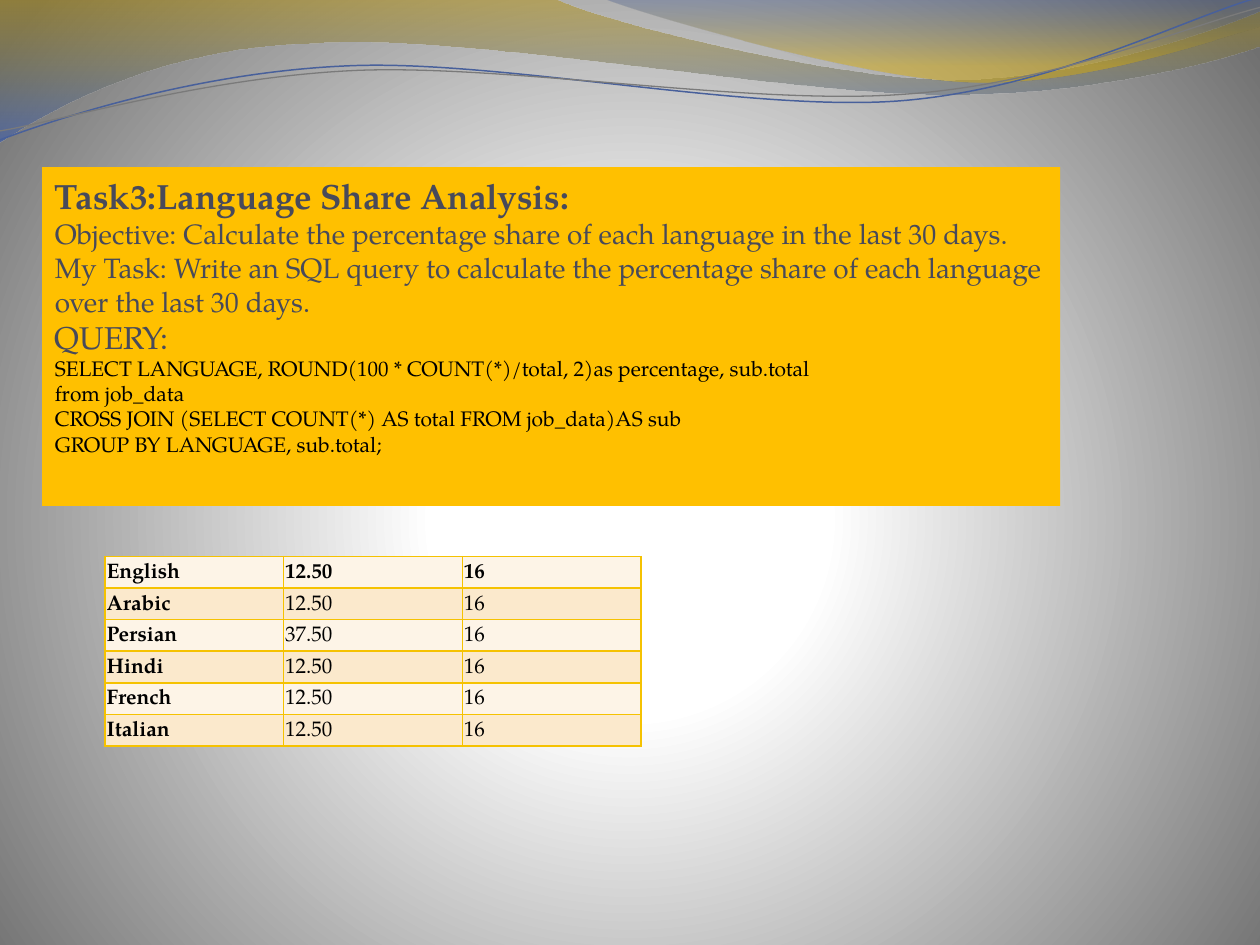
from dataclasses import dataclass

from lxml import etree
from pptx import Presentation
from pptx.dml.color import RGBColor
from pptx.enum import text
from pptx.oxml import ns
from pptx.util import Cm, Pt


@dataclass(frozen=True)
class Theme:
    font: str = "TeX Gyre Pagella"
    panel: str = "FFC000"
    heading: str = "484A5A"
    body: str = "000000"
    border: str = "F5C201"
    bands: tuple = ("FDF4E7", "FBE9CC")
    title_size: int = 20
    label_size: int = 18
    text_size: int = 16
    code_size: int = 12
    backdrop: tuple = ((0, "FFFFFF", 100), (25, "FFFFFF", 100), (100, "707070", 100))
    wave_left: tuple = ((0, "B69000", 45), (100, "3359B7", 55))
    wave_right: tuple = ((0, "324C8D", 30), (80, "D9AC00", 45))
    line_blue: str = "48609B"
    line_grey: str = "7A7A7A"


T = Theme()
LINE_TILT = 357.3

LEFT_WAVE = [
    (0, 0), (11.18, -0.03),
    (12.09, 0.43, 16.87, 1.6, 19.25, 1.6),
    (21.67, 1.6, 24.33, 0.66, 25.4, 0.23),
    (25.43, 0.91),
    (24.97, 1.12, 22.1, 1.93, 18.95, 1.9),
    (15.8, 1.9, 9.7, 0.71, 6.53, 0.86),
    (3.28, 0.91, 1.17, 2.11, -0.03, 2.87),
]
RIGHT_WAVE = [
    (12.17, -0.03),
    (12.93, 0.28, 17.32, 1.57, 19.53, 1.65),
    (21.74, 1.75, 24.41, 0.81, 25.4, 0.53),
    (25.4, 0),
]
BLUE_LINE = [
    (-0.05, 2.22),
    (1.19, 1.82, 4.02, 1.04, 7.05, 1.06),
    (10.05, 1.07, 15.02, 2.37, 18.08, 2.29),
    (21.14, 2.2, 23.87, 0.91, 25.41, 0.55),
]
GREY_LINE = [
    (-0.04, 2.04),
    (1.16, 1.9, 4.18, 1.15, 7.2, 1.16),
    (10.25, 1.18, 15.13, 2.25, 18.19, 2.16),
    (21.21, 2.1, 23.93, 1.06, 25.45, 0.75),
]

TITLE_PARAGRAPHS = [
    [
        ("Task3:Language Share Analysis:", T.title_size, T.heading, True),
        ("Objective: Calculate the percentage share of each language in the last 30 days.",
         T.text_size, T.heading, False),
        ("My Task: Write an SQL query to calculate the percentage share of each language "
         "over the last 30 days.", T.text_size, T.heading, False),
        ("QUERY:", T.label_size, T.heading, False),
        ("SELECT LANGUAGE, ROUND(100 * COUNT(*)/total, 2)as percentage, sub.total",
         T.code_size, T.body, False),
    ],
    [("from job_data", T.code_size, T.body, False)],
    [("CROSS JOIN (SELECT COUNT(*) AS total FROM job_data)AS sub",
      T.code_size, T.body, False)],
    [("GROUP BY LANGUAGE, sub.total;", T.code_size, T.body, False)],
]

SHARES = [
    ("English", "12.50", "16"),
    ("Arabic", "12.50", "16"),
    ("Persian", "37.50", "16"),
    ("Hindi", "12.50", "16"),
    ("French", "12.50", "16"),
    ("Italian", "12.50", "16"),
]


def sub(parent, tag, **attrs):
    return etree.SubElement(parent, ns.qn(tag), {k: str(v) for k, v in attrs.items()})


def set_gradient(fill, element, stops, centre=None):
    fill.gradient()
    grad = next(element.iter(ns.qn("a:gradFill")))
    for child in list(grad):
        grad.remove(child)
    gs_list = sub(grad, "a:gsLst")
    for pos, color, alpha in stops:
        clr = sub(sub(gs_list, "a:gs", pos=pos * 1000), "a:srgbClr", val=color)
        if alpha < 100:
            sub(clr, "a:alpha", val=alpha * 1000)
    if centre:
        radial = sub(grad, "a:path", path="circle")
        sub(radial, "a:fillToRect", **{k: v * 1000 for k, v in zip("ltrb", centre)})
    else:
        sub(grad, "a:lin", ang=5400000, scaled=0)


def add_outline(s, left, top, outline, close):
    anchors = [(left + Cm(seg[-2]), top + Cm(seg[-1])) for seg in outline]
    builder = s.shapes.build_freeform(*anchors[0])
    builder.add_line_segments(anchors[1:], close=close)
    sp = builder.convert_to_shape()
    sp.shadow.inherit = False
    lines = list(sp.element.iter(ns.qn("a:lnTo")))
    for line, seg in zip(lines, outline[1:]):
        if len(seg) == 6:
            curve = etree.Element(ns.qn("a:cubicBezTo"))
            for x, y in zip(seg[::2], seg[1::2]):
                sub(curve, "a:pt", x=left + Cm(x) - sp.left, y=top + Cm(y) - sp.top)
            line.getparent().replace(line, curve)
    return sp


def add_waves(s, left, top):
    for outline, stops in ((LEFT_WAVE, T.wave_left), (RIGHT_WAVE, T.wave_right)):
        sp = add_outline(s, left, top, outline, True)
        set_gradient(sp.fill, sp.element, stops)
        sp.line.fill.background()
    for outline, color, width in ((BLUE_LINE, T.line_blue, 0.85),
                                  (GREY_LINE, T.line_grey, 0.75)):
        sp = add_outline(s, left, top, outline, False)
        sp.rotation = LINE_TILT
        sp.fill.background()
        sp.line.color.rgb = RGBColor.from_string(color)
        sp.line.width = Pt(width)


def add_run(p, content, size, color, bold):
    r = p.add_run()
    r.text = content
    r.font.name, r.font.size, r.font.bold = T.font, Pt(size), bold
    r.font.color.rgb = RGBColor.from_string(color)


def add_break(p, size):
    p.add_line_break()
    props = sub(p._p[-1], "a:rPr", sz=size * 100)
    sub(props, "a:latin", typeface=T.font)


def add_title(s, left, top, width, height):
    sp = s.shapes.title
    sp.left, sp.top, sp.width, sp.height = left, top, width, height
    sp.fill.solid()
    sp.fill.fore_color.rgb = RGBColor.from_string(T.panel)
    tf = sp.text_frame
    tf.word_wrap = True
    tf.auto_size = text.MSO_AUTO_SIZE.NONE
    tf.vertical_anchor = text.MSO_ANCHOR.MIDDLE
    tf.margin_bottom = Cm(0.97)
    for i, lines in enumerate(TITLE_PARAGRAPHS):
        p = tf.paragraphs[0] if i == 0 else tf.add_paragraph()
        p.alignment = text.PP_ALIGN.LEFT
        for j, line in enumerate(lines):
            if j:
                add_break(p, lines[j - 1][1])
            add_run(p, *line)


def set_borders(cell, color, width):
    props = cell._tc.get_or_add_tcPr()
    for i, side in enumerate(("a:lnL", "a:lnR", "a:lnT", "a:lnB")):
        ln = etree.Element(ns.qn(side), w=str(Pt(width)))
        sub(sub(ln, "a:solidFill"), "a:srgbClr", val=color)
        props.insert(i, ln)


def add_shares(s, left, top, width, height):
    table = s.shapes.add_table(len(SHARES), len(SHARES[0]), left, top, width, height).table
    for i, row in enumerate(SHARES):
        for j, value in enumerate(row):
            cell = table.cell(i, j)
            cell.fill.solid()
            cell.fill.fore_color.rgb = RGBColor.from_string(T.bands[i % 2])
            cell.margin_left = cell.margin_right = Cm(0.03)
            cell.margin_top = cell.margin_bottom = Cm(0.03)
            cell.vertical_anchor = text.MSO_ANCHOR.MIDDLE
            set_borders(cell, T.border, 1)
            p = cell.text_frame.paragraphs[0]
            p.line_spacing = 1.15
            add_run(p, value, T.code_size, T.body, i == 0 or j == 0)


def main():
    prs = Presentation()
    prs.slide_width, prs.slide_height = Cm(25.4), Cm(19.05)
    s = prs.slides.add_slide(prs.slide_layouts[5])
    set_gradient(s.background.fill, s.element, T.backdrop, (10, 110, 10, 100))
    add_waves(s, Cm(0), Cm(0))
    add_title(s, Cm(0.85), Cm(3.37), Cm(20.52), Cm(6.83))
    add_shares(s, Cm(2.12), Cm(11.22), Cm(10.8), Cm(3.82))
    prs.save("out.pptx")


if __name__ == "__main__":
    main()
